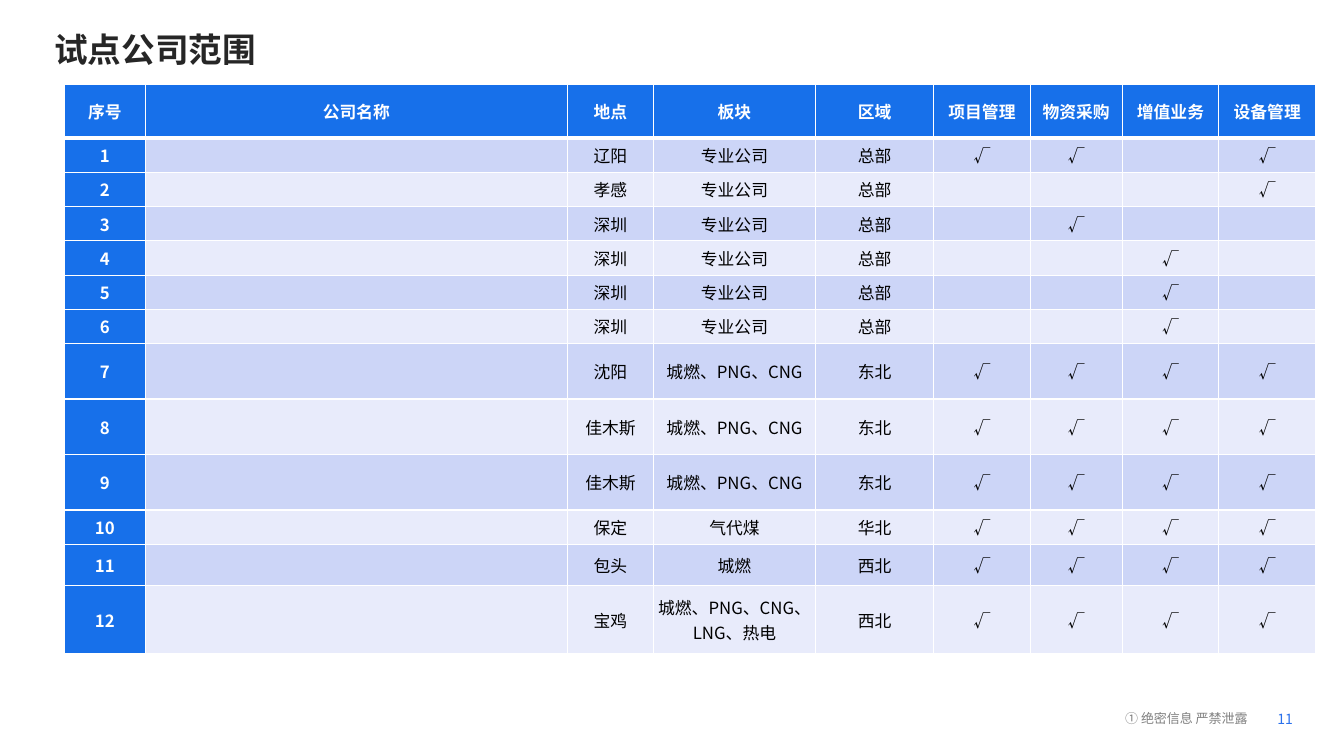
from typing import NamedTuple

from lxml.etree import SubElement
from pptx import Presentation
from pptx.dml.color import RGBColor
from pptx.enum.text import MSO_ANCHOR, PP_ALIGN
from pptx.oxml.ns import qn
from pptx.util import Inches, Pt

FONT = "Noto Sans CJK SC"
WHITE = RGBColor(0xFF, 0xFF, 0xFF)
BLACK = RGBColor(0x00, 0x00, 0x00)
TITLE_GREY = RGBColor(0x26, 0x26, 0x26)
FOOTER_GREY = RGBColor(0x80, 0x80, 0x80)
PAGE_BLUE = RGBColor(0x2A, 0x71, 0xEC)
HEADER_BLUE = RGBColor(0x17, 0x70, 0xEA)
BANDS = (RGBColor(0xCC, 0xD5, 0xF7), RGBColor(0xE8, 0xEB, 0xFB))


class Label(NamedTuple):
    text: str
    box: tuple[float, float, float, float]
    size: float
    color: RGBColor
    bold: bool = False
    inset: tuple[float, float] = (0, 0)
    line_spacing: float | None = None


class Company(NamedTuple):
    city: str
    sector: str
    region: str
    pilots: str  # one digit per pilot column, 1 = taking part
    height: float = 0.34


LABELS = (
    Label("试点公司范围", (0.44, 0.23, 10.6, 0.51), 24, TITLE_GREY, True, (0.1, 0.05)),
    Label("① 绝密信息 严禁泄露", (11.15, 7.02, 1.31, 0.19), 9.3, FOOTER_GREY,
          inset=(0.01, 0.01), line_spacing=13.3),
    Label("11", (12.67, 7.05, 0.23, 0.17), 10, PAGE_BLUE),
)

HEADERS = ("序号", "公司名称", "地点", "板块", "区域",
           "项目管理", "物资采购", "增值业务", "设备管理")
COLUMN_WIDTHS = (0.8, 4.19, 0.85, 1.61, 1.17, 0.96, 0.91, 0.96, 0.96)
HEADER_HEIGHT = 0.53
COMPANIES = (
    Company("辽阳", "专业公司", "总部", "1101"),
    Company("孝感", "专业公司", "总部", "0001"),
    Company("深圳", "专业公司", "总部", "0100"),
    Company("深圳", "专业公司", "总部", "0010"),
    Company("深圳", "专业公司", "总部", "0010"),
    Company("深圳", "专业公司", "总部", "0010"),
    Company("沈阳", "城燃、PNG、CNG", "东北", "1111", 0.55),
    Company("佳木斯", "城燃、PNG、CNG", "东北", "1111", 0.55),
    Company("佳木斯", "城燃、PNG、CNG", "东北", "1111", 0.55),
    Company("保定", "气代煤", "华北", "1111"),
    Company("包头", "城燃", "西北", "1111", 0.41),
    Company("宝鸡", "城燃、PNG、CNG、LNG、热电", "西北", "1111", 0.68),
)


def apply_format(target: object, values: dict[str, object]) -> None:
    for name, value in values.items():
        setattr(target, name, value)


def write_text(paragraph, text: str, size: float, color: RGBColor, bold: bool) -> None:
    if not text:
        # Keep an empty cell as low as its row
        SubElement(paragraph._p, qn("a:endParaRPr"), sz=str(size * 100))
        return
    run = paragraph.add_run()
    run.text = text
    apply_format(run.font, {"name": FONT, "size": Pt(size), "bold": bold})
    run.font.color.rgb = color
    SubElement(run._r.rPr, qn("a:ea"), typeface=FONT)


def add_label(slide, label: Label) -> None:
    frame = slide.shapes.add_textbox(*map(Inches, label.box)).text_frame
    side, end = map(Inches, label.inset)
    apply_format(frame, {
        "word_wrap": True, "vertical_anchor": MSO_ANCHOR.MIDDLE,
        "margin_left": side, "margin_right": side,
        "margin_top": end, "margin_bottom": end,
    })
    paragraph = frame.paragraphs[0]
    if label.line_spacing:
        paragraph.line_spacing = Pt(label.line_spacing)
    write_text(paragraph, label.text, label.size, label.color, label.bold)


def add_borders(cell, bottom: float) -> None:
    properties = cell._tc.get_or_add_tcPr()
    for side, width in (("L", 1), ("R", 1), ("T", 1), ("B", bottom)):
        line = SubElement(properties, qn(f"a:ln{side}"), w=str(Pt(width)))
        fill = SubElement(line, qn("a:solidFill"))
        SubElement(fill, qn("a:srgbClr"), val=str(WHITE))


def fill_cell(cell, text: str, fill: RGBColor, is_heading: bool, bottom: float) -> None:
    apply_format(cell, {
        "vertical_anchor": MSO_ANCHOR.MIDDLE, "margin_left": 0, "margin_right": 0,
        "margin_top": 0, "margin_bottom": 0,
    })
    add_borders(cell, bottom)
    cell.fill.solid()
    cell.fill.fore_color.rgb = fill
    paragraph = cell.text_frame.paragraphs[0]
    paragraph.alignment = PP_ALIGN.CENTER
    write_text(paragraph, text, 12, WHITE if is_heading else BLACK, is_heading)


def add_company_table(slide) -> None:
    heights = [HEADER_HEIGHT] + [company.height for company in COMPANIES]
    rows = [HEADERS] + [
        (str(number), "", company.city, company.sector, company.region,
         *("√" if flag == "1" else "" for flag in company.pilots))
        for number, company in enumerate(COMPANIES, 1)
    ]
    table = slide.shapes.add_table(
        len(rows), len(HEADERS), Inches(0.64), Inches(0.84),
        Inches(sum(COLUMN_WIDTHS)), Inches(sum(heights))).table
    for column, width in zip(table.columns, COLUMN_WIDTHS):
        column.width = Inches(width)
    for row_index, (texts, height) in enumerate(zip(rows, heights)):
        table.rows[row_index].height = Inches(height)
        for column_index, text in enumerate(texts):
            is_heading = row_index == 0 or column_index == 0
            fill = HEADER_BLUE if is_heading else BANDS[(row_index - 1) % 2]
            fill_cell(table.cell(row_index, column_index), text, fill,
                      is_heading, 3 if row_index == 0 else 1)


def main() -> None:
    presentation = Presentation()
    apply_format(presentation, {"slide_width": Inches(13.33), "slide_height": Inches(7.5)})
    slide = presentation.slides.add_slide(presentation.slide_layouts[6])

    # Title, confidentiality note and page number
    for label in LABELS:
        add_label(slide, label)

    # Pilot companies
    add_company_table(slide)

    presentation.save("out.pptx")


if __name__ == "__main__":
    main()
